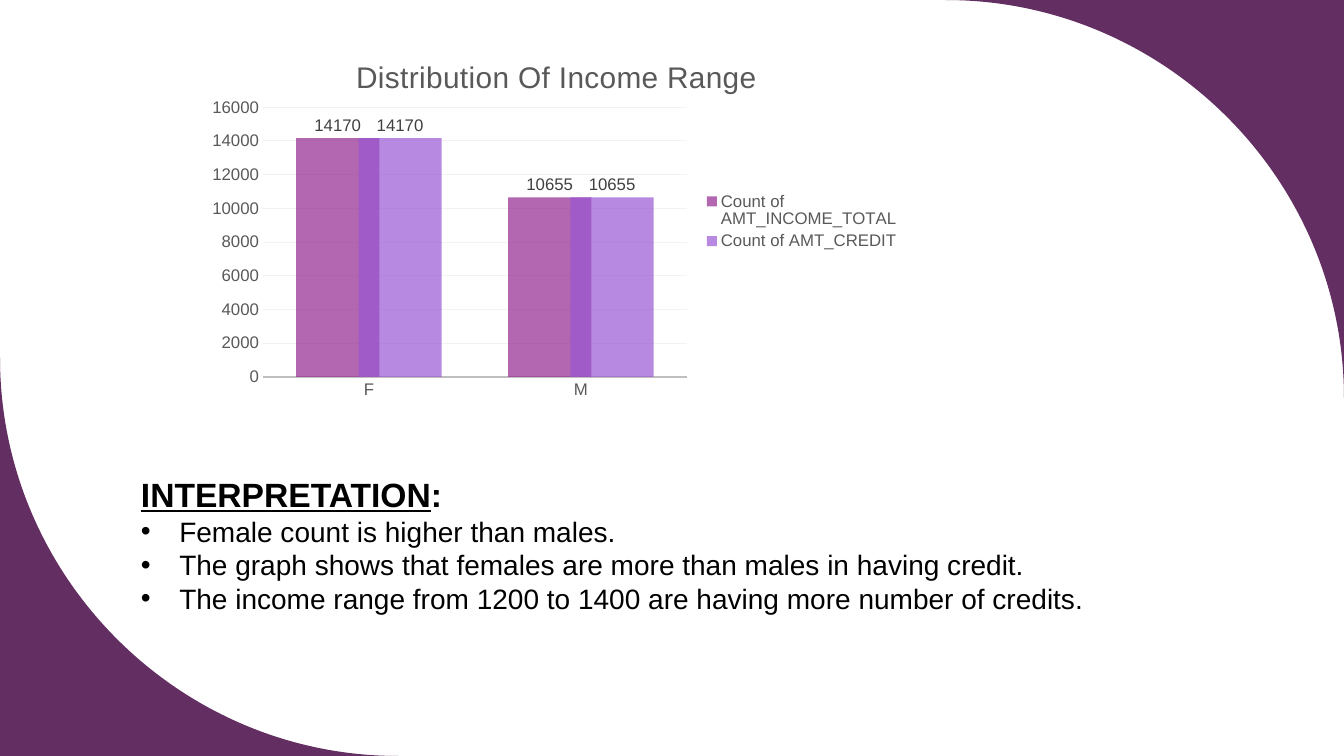
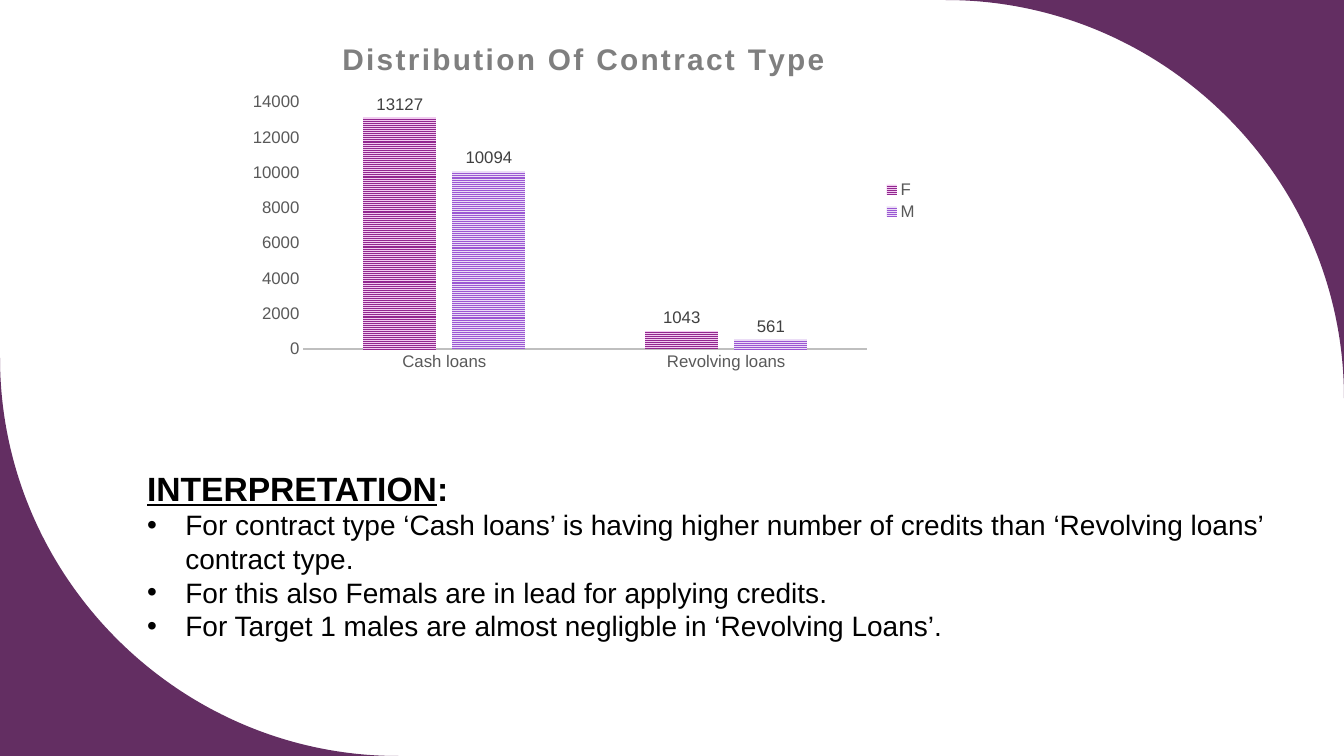
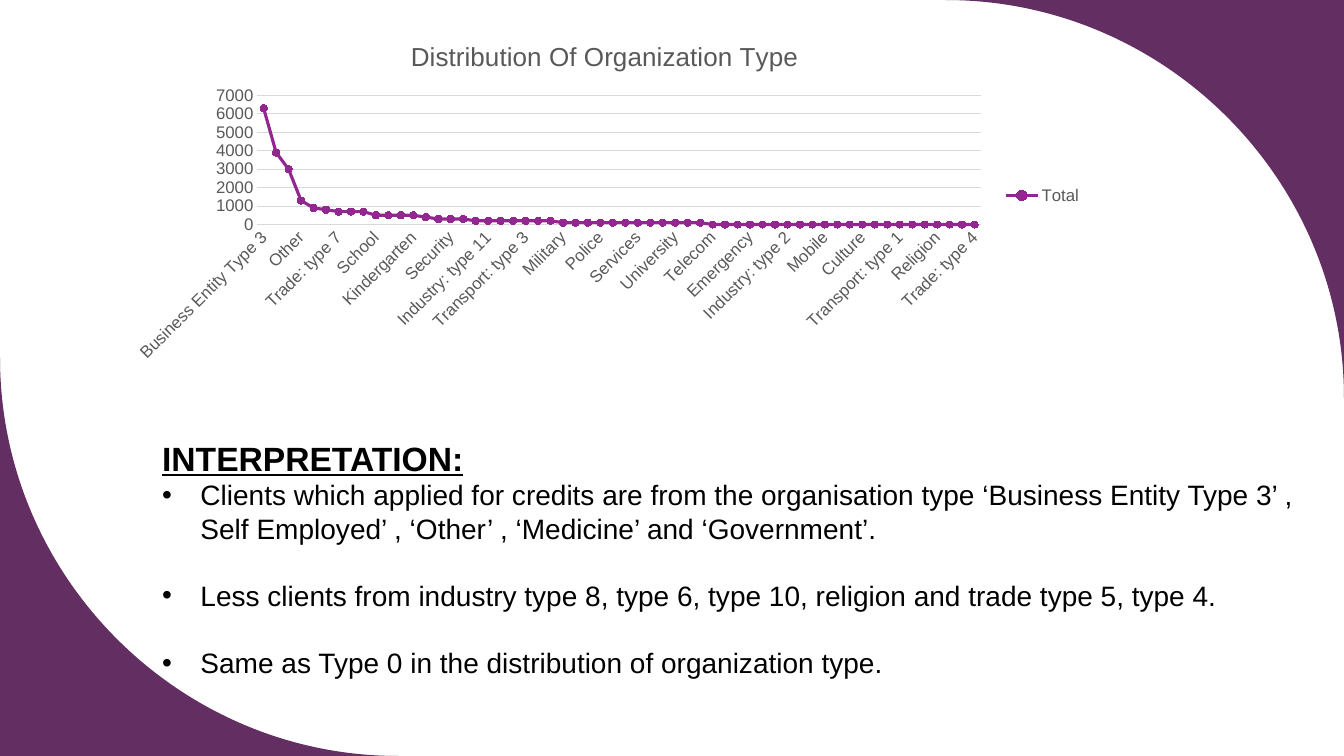
from dataclasses import dataclass

from lxml import etree
from pptx import Presentation
from pptx.chart.data import CategoryChartData
from pptx.dml.color import RGBColor
from pptx.enum.chart import (XL_CHART_TYPE, XL_LABEL_POSITION, XL_LEGEND_POSITION,
                             XL_MARKER_STYLE, XL_TICK_MARK)
from pptx.enum.dml import MSO_PATTERN
from pptx.enum.text import MSO_AUTO_SIZE
from pptx.oxml.ns import qn
from pptx.util import Inches, Pt

COLUMNS = XL_CHART_TYPE.COLUMN_CLUSTERED
LINES = XL_CHART_TYPE.LINE_MARKERS_STACKED
OUTSIDE_END = XL_LABEL_POSITION.OUTSIDE_END
RIGHT = XL_LEGEND_POSITION.RIGHT
CIRCLE = XL_MARKER_STYLE.CIRCLE
NO_TICK = XL_TICK_MARK.NONE
STRIPES = MSO_PATTERN.NARROW_HORIZONTAL
FIT_TEXT = MSO_AUTO_SIZE.SHAPE_TO_FIT_TEXT


@dataclass(frozen=True)
class Theme:
    font: str = "Arial"
    corner: str = "632E62"
    ink: str = "000000"
    axis_text: str = "595959"
    label_text: str = "404040"
    bold_title: str = "7F7F7F"
    plum: str = "92278F"
    pale_plum: str = "F1CCF0"
    violet: str = "9B57D3"
    pale_violet: str = "EBDDF6"
    faint_grid: str = "F2F2F2"
    grid: str = "D9D9D9"
    axis: str = "BFBFBF"
    heading_size: float = 24
    body_size: float = 20
    chart_size: float = 12
    title_size: float = 18.6
    large_title_size: float = 21.3


THEME = Theme()
SLIDE_WIDTH, SLIDE_HEIGHT = 13.33, 7.5
CORNER_RADIUS = 3.95
ARC_HANDLE = 0.55
INDENT = 0.38

ORGANIZATIONS = [
    "Business Entity Type 3", "Self-employed", "XNA", "Other",
    "Business Entity Type 2", "Construction", "Trade: type 7", "Medicine",
    "Government", "School", "Transport: type 4", "Business Entity Type 1",
    "Kindergarten", "Trade: type 3", "Industry: type 3", "Security",
    "Agriculture", "Housing", "Industry: type 11", "Industry: type 9",
    "Restaurant", "Transport: type 3", "Postal", "Transport: type 2", "Military",
    "Trade: type 2", "Bank", "Police", "Industry: type 1", "Industry: type 7",
    "Services", "Security Ministries", "Industry: type 4", "University",
    "Electricity", "Hotel", "Telecom", "Realtor", "Industry: type 5", "Emergency",
    "Advertising", "Insurance", "Industry: type 2", "Trade: type 1", "Cleaning",
    "Mobile", "Trade: type 6", "Legal Services", "Culture", "Industry: type 12",
    "Industry: type 13", "Transport: type 1", "Industry: type 6",
    "Industry: type 10", "Religion", "Industry: type 8", "Trade: type 5",
    "Trade: type 4",
]
ORGANIZATION_COUNTS = (
    [6300, 3900, 3000, 1300, 900, 800] + [700] * 3 + [500] * 4
    + [400] + [300] * 3 + [200] * 7 + [100] * 12 + [0] * 22
)


# Formatting helpers
def rgb(value):
    return RGBColor.from_string(value)


def style_font(font, size, color, **extra):
    values = {"name": THEME.font, "size": Pt(size), **extra}
    for name, value in values.items():
        setattr(font, name, value)
    font.color.rgb = rgb(color)


def style_line(line, color, width):
    line.color.rgb = rgb(color)
    line.width = Pt(width)


# Page with its two curved corners
def add_corner(page, center_x, center_y, side):
    """Fill the area outside a quarter circle; side is 1 top right, -1 bottom left."""
    reach = side * CORNER_RADIUS
    steps = [(0, 1), (ARC_HANDLE, 1), (1, ARC_HANDLE), (1, 0), (1, 1)]
    points = [(Inches(center_x + reach * right), Inches(center_y - reach * up))
              for right, up in steps]
    builder = page.shapes.build_freeform(*points[0])
    builder.add_line_segments(points[1:], close=True)
    corner = builder.convert_to_shape()
    corner.shadow.inherit = False
    corner.fill.solid()
    corner.fill.fore_color.rgb = rgb(THEME.corner)
    corner.line.fill.background()
    # The first three segments become one curve
    segments = list(corner._element.iter(qn("a:lnTo")))[:3]
    curve = etree.Element(qn("a:cubicBezTo"))
    segments[0].addprevious(curve)
    for segment in segments:
        curve.append(segment[0])
        segment.getparent().remove(segment)


def add_page(deck):
    page = deck.slides.add_slide(deck.slide_layouts[6])
    add_corner(page, SLIDE_WIDTH - CORNER_RADIUS, CORNER_RADIUS, 1)
    add_corner(page, CORNER_RADIUS, SLIDE_HEIGHT - CORNER_RADIUS, -1)
    return page


# Interpretation text
def make_bullet(para):
    properties = para._p.get_or_add_pPr()
    properties.set("marL", str(Inches(INDENT)))
    properties.set("indent", str(-Inches(INDENT)))
    etree.SubElement(properties, qn("a:buFont")).set("typeface", THEME.font)
    etree.SubElement(properties, qn("a:buChar")).set("char", "•")


def add_interpretation(page, area, points, colon_underlined=False, gap=0):
    box = page.shapes.add_textbox(*map(Inches, area))
    frame = box.text_frame
    frame.word_wrap = True
    frame.auto_size = FIT_TEXT
    heading = frame.paragraphs[0]
    parts = [("INTERPRETATION", True), (":", False)]
    if colon_underlined:
        parts = [("INTERPRETATION:", True)]
    for text, underline in parts:
        span = heading.add_run()
        span.text = text
        style_font(span.font, THEME.heading_size, THEME.ink,
                   bold=True, underline=underline)
    for index, text in enumerate(points):
        para = frame.add_paragraph()
        para.space_before = Pt(gap if index else 0)
        make_bullet(para)
        span = para.add_run()
        span.text = text
        style_font(span.font, THEME.body_size, THEME.ink)


# Charts
def add_title(chart, text, size, color=THEME.axis_text, bold=False, spacing=0):
    chart.has_title = True
    chart.chart_title.include_in_layout = False
    span = chart.chart_title.text_frame.paragraphs[0].add_run()
    span.text = text
    style_font(span.font, size, color, bold=bold)
    span._r.get_or_add_rPr().set("spc", str(round(spacing * 100)))


def place_part(part, **place):
    """Fix a chart part at fractions of the chart's width and height."""
    layout = part.find(qn("c:layout"))
    if layout is None:
        layout = etree.Element(qn("c:layout"))
        text = part.find(qn("c:tx"))
        if text is None:
            part.insert(0, layout)
        else:
            text.addnext(layout)
    manual = etree.SubElement(layout, qn("c:manualLayout"))
    if "w" in place:
        etree.SubElement(manual, qn("c:layoutTarget")).set("val", "inner")
    for mode in ("xMode", "yMode"):
        etree.SubElement(manual, qn("c:" + mode)).set("val", "edge")
    for name, value in place.items():
        etree.SubElement(manual, qn("c:" + name)).set("val", str(value))


def add_chart(page, area, kind, categories, series, axis_line, grid=None):
    data = CategoryChartData()
    data.categories = categories
    for name, values in series:
        data.add_series(name, values)
    chart = page.shapes.add_chart(kind, *map(Inches, area), data).chart
    style_font(chart.font, THEME.chart_size, THEME.axis_text)
    chart.has_legend = True
    chart.legend.position = RIGHT
    chart.legend.include_in_layout = False
    style_font(chart.legend.font, THEME.chart_size, THEME.axis_text)
    for axis in (chart.category_axis, chart.value_axis):
        axis.major_tick_mark = axis.minor_tick_mark = NO_TICK
        style_font(axis.tick_labels.font, THEME.chart_size, THEME.axis_text)
    style_line(chart.category_axis.format.line, *axis_line)
    chart.value_axis.format.line.fill.background()
    chart.value_axis.has_major_gridlines = grid is not None
    if grid:
        style_line(chart.value_axis.major_gridlines.format.line, grid, 0.75)
    chart.plots[0].vary_by_categories = False
    return chart


def style_columns(chart, gap, overlap):
    plot = chart.plots[0]
    plot.gap_width = gap
    plot.overlap = overlap
    for series in plot.series:
        labels = series.data_labels
        labels.show_value = True
        labels.position = OUTSIDE_END
        style_font(labels.font, THEME.chart_size, THEME.label_text)
        series.invert_if_negative = False


def fill_translucent(series, color, percent):
    fill = series.format.fill
    fill.solid()
    fill.fore_color.rgb = rgb(color)
    shade = series._element.find(qn("c:spPr")).find(".//" + qn("a:srgbClr"))
    etree.SubElement(shade, qn("a:alpha")).set("val", str(percent * 1000))


def fill_striped(series, front, back):
    fill = series.format.fill
    fill.patterned()
    fill.pattern = STRIPES
    fill.fore_color.rgb = rgb(front)
    fill.back_color.rgb = rgb(back)


def style_marked_line(series, color):
    series.smooth = False
    style_line(series.format.line, color, 2.25)
    marker = series.marker
    marker.style = CIRCLE
    marker.size = 5
    marker.format.fill.solid()
    marker.format.fill.fore_color.rgb = rgb(color)
    style_line(marker.format.line, color, 0.75)


def slant_labels(axis, degrees):
    body = axis._element.find(qn("c:txPr")).find(qn("a:bodyPr"))
    body.set("rot", str(degrees * 60000))
    body.set("vert", "horz")


# Slides
def build_income(deck):
    page = add_page(deck)
    counts = [14170, 10655]
    chart = add_chart(
        page, (1.95, 0.36, 7.08, 3.67), COLUMNS, ["F", "M"],
        [("Count of AMT_INCOME_TOTAL", counts), ("Count of AMT_CREDIT", counts)],
        (THEME.axis, 1.25), THEME.faint_grid)
    add_title(chart, "Distribution Of Income Range", THEME.large_title_size,
              spacing=0.4)
    place_part(chart.chart_title._element, x=0.216, y=0.045)
    plot_area = chart._chartSpace.find(".//" + qn("c:plotArea"))
    place_part(plot_area, x=0.093, y=0.192, w=0.594, h=0.729)
    style_columns(chart, 80, 25)
    for series, color in zip(chart.plots[0].series, (THEME.plum, THEME.violet)):
        fill_translucent(series, color, 70)
    add_interpretation(page, (1.3, 4.65, 11.24, 1.82), [
        "Female count is higher than males.",
        "The graph shows that females are more than males in having credit.",
        "The income range from 1200 to 1400 are having more number of credits.",
    ])


def build_contract(deck):
    page = add_page(deck)
    chart = add_chart(
        page, (2.37, 0.23, 6.84, 3.52), COLUMNS, ["Cash loans", "Revolving loans"],
        [("F", [13127, 1043]), ("M", [10094, 561])], (THEME.axis, 1.5))
    add_title(chart, "Distribution Of Contract Type", THEME.large_title_size,
              THEME.bold_title, bold=True, spacing=1.8)
    style_columns(chart, 164, -22)
    stripes = ((THEME.plum, THEME.pale_plum), (THEME.violet, THEME.pale_violet))
    for series, colors in zip(chart.plots[0].series, stripes):
        fill_striped(series, *colors)
    add_interpretation(page, (1.36, 4.59, 11.52, 1.85), [
        "For contract type ‘Cash loans’ is having higher number of credits than "
        "‘Revolving loans’ contract type.",
        "For this also Femals are in lead for applying credits.",
        "For Target 1 males are almost negligble in ‘Revolving Loans’.",
    ])


def build_organization(deck):
    page = add_page(deck)
    chart = add_chart(
        page, (1.16, 0.22, 9.68, 3.44), LINES, ORGANIZATIONS,
        [("Total", ORGANIZATION_COUNTS)], (THEME.grid, 0.75), THEME.grid)
    add_title(chart, "Distribution Of Organization Type", THEME.title_size)
    style_marked_line(chart.plots[0].series[0], THEME.plum)
    slant_labels(chart.category_axis, -45)
    add_interpretation(page, (1.51, 4.29, 11.49, 2.52), [
        "Clients which applied for credits are from the organisation type "
        "‘Business Entity Type 3’ , Self Employed’ , ‘Other’ , ‘Medicine’ and "
        "‘Government’.",
        "Less clients from industry type 8, type 6, type 10, religion and "
        "trade type 5, type 4.",
        "Same as Type 0 in the distribution of organization type.",
    ], colon_underlined=True, gap=24)


def main():
    deck = Presentation()
    deck.slide_width = Inches(SLIDE_WIDTH)
    deck.slide_height = Inches(SLIDE_HEIGHT)
    for build in (build_income, build_contract, build_organization):
        build(deck)
    deck.save("out.pptx")


main()
